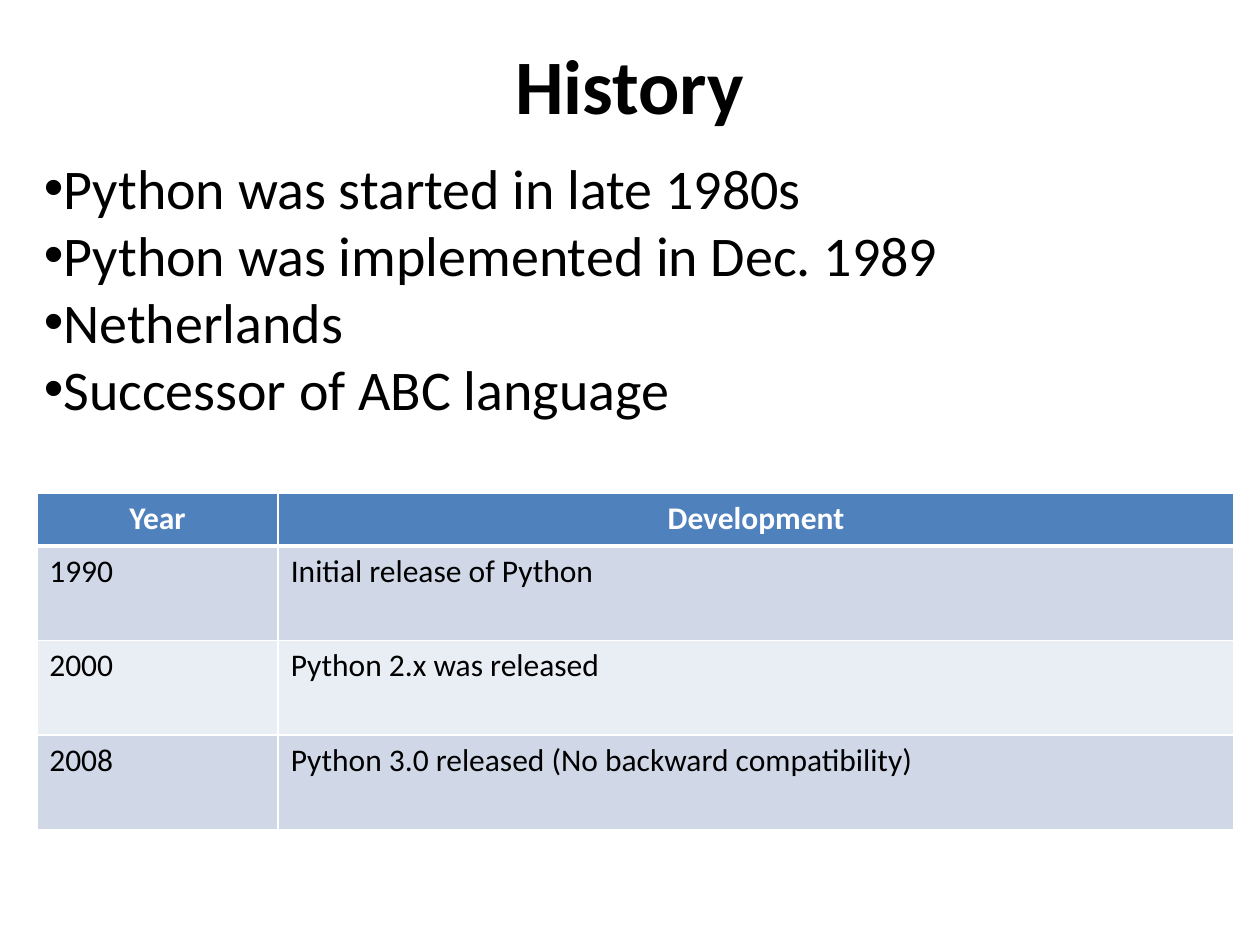
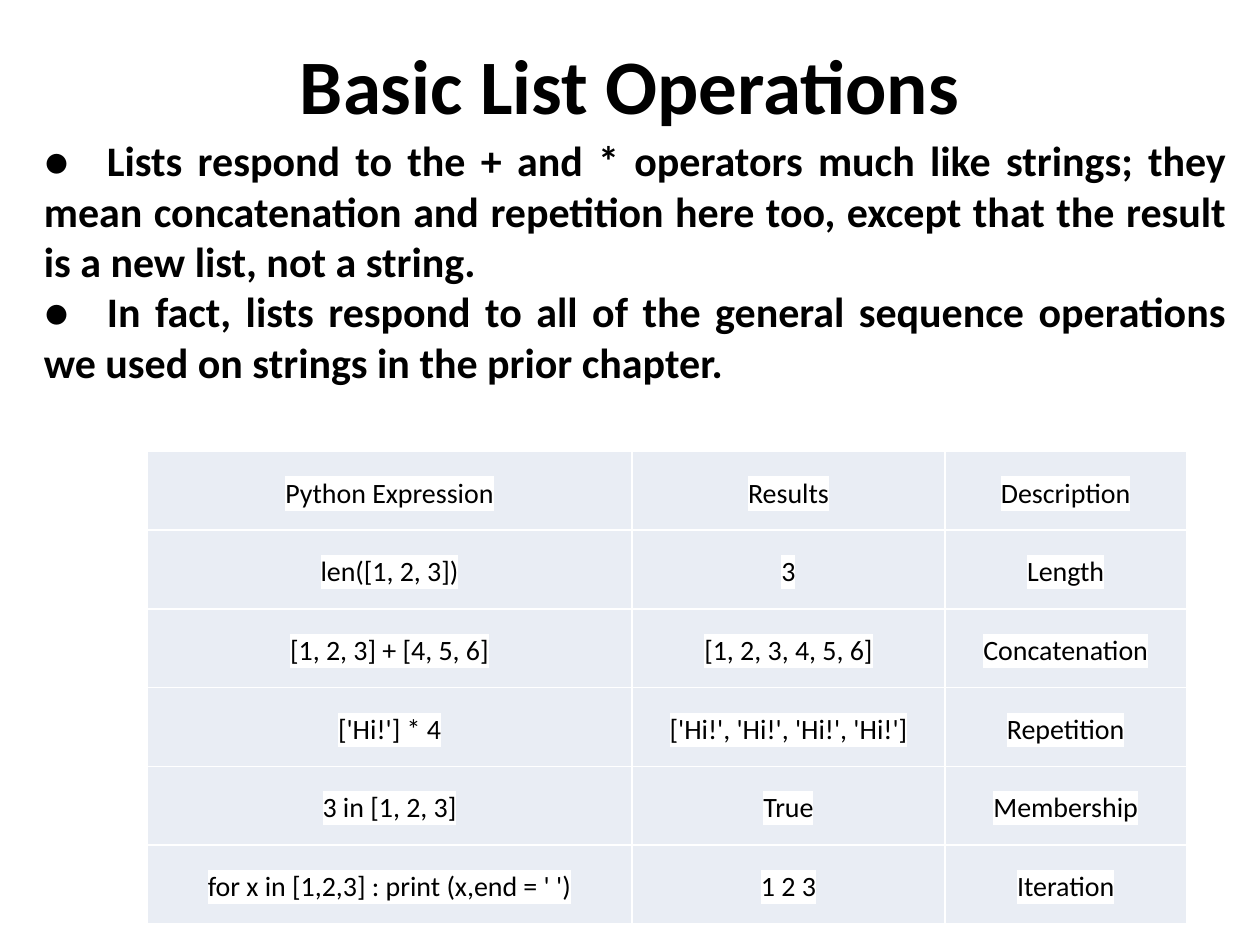
from lxml.etree import SubElement
from pptx import Presentation
from pptx.dml.color import RGBColor
from pptx.enum.text import MSO_ANCHOR, MSO_AUTO_SIZE, PP_ALIGN
from pptx.oxml.ns import qn
from pptx.util import Inches, Pt

# Shared look: a grid of 120 columns by 90 rows
UNIT = Inches(10) // 120
BLACK, WHITE, BLUE = "000000", "FFFFFF", "4F81BD"
DARK_BAND, LIGHT_BAND = "D0D8E8", "E9EDF4"
TITLE_FORMAT = {"size": Pt(44), "bold": True}


def colour(hex_code):
    return RGBColor.from_string(hex_code)


def write(para, text, alignment, formats, text_colour=BLACK):
    para.alignment = alignment
    span = para.add_run()
    span.text = text
    for name, value in formats.items():
        setattr(span.font, name, value)
    span.font.name = "Calibri"
    span.font.color.rgb = colour(text_colour)
    return span


# Content of the two slides, lengths in grid units
slides = [
    {
        "title": "History",
        "body_place": (3, 14, 115, 27),
        "body_format": {"size": Pt(32), "bold": False},
        "bullet": "•",
        "points": [
            "Python was started in late 1980s",
            "Python was implemented in Dec. 1989",
            "Netherlands",
            "Successor of ABC language",
        ],
        "table_corner": (3.5, 47),
        "widths": [23, 91],
        "heights": [5, 9, 9, 9],
        "has_header": True,
        "cell_size": Pt(18),
        "cell_format": {},
        "para_format": {},
        "highlight": None,
        "table": [
            ("Year", "Development"),
            ("1990", "Initial release of Python"),
            ("2000", "Python 2.x was released"),
            ("2008", "Python 3.0 released (No backward compatibility)"),
        ],
    },
    {
        "title": "Basic List Operations",
        "body_place": (3, 12.25, 115, 25.5),
        "body_format": {"size": Pt(24), "bold": True},
        "bullet": None,
        "points": [
            "●\tLists respond to the + and * operators much like strings; they mean "
            "concatenation and repetition here too, except that the result is a new "
            "list, not a string.",
            "●\tIn fact, lists respond to all of the general sequence operations we "
            "used on strings in the prior chapter.",
        ],
        "table_corner": (14, 43),
        "widths": [46.2, 29.8, 23],
        "heights": [7.5] * 6,
        "has_header": False,
        "cell_size": Pt(16),
        "cell_format": dict.fromkeys(
            ("margin_left", "margin_right", "margin_top", "margin_bottom"), UNIT),
        "para_format": {"line_spacing": 1.42, "space_after": Pt(15)},
        "highlight": WHITE,
        "table": [
            ("Python Expression", "Results", "Description"),
            ("len([1, 2, 3])", "3", "Length"),
            ("[1, 2, 3] + [4, 5, 6]", "[1, 2, 3, 4, 5, 6]", "Concatenation"),
            ("['Hi!'] * 4", "['Hi!', 'Hi!', 'Hi!', 'Hi!']", "Repetition"),
            ("3 in [1, 2, 3]", "True", "Membership"),
            ("for x in [1,2,3] : print (x,end = ' ')", "1 2 3", "Iteration"),
        ],
    },
]

deck = Presentation()
deck.slide_width, deck.slide_height = 120 * UNIT, 90 * UNIT

for content in slides:
    page = deck.slides.add_slide(deck.slide_layouts[5])

    # Title
    title = page.shapes.title
    title.left, title.top, title.width, title.height = 0, 2 * UNIT, 120 * UNIT, 12 * UNIT
    title.text_frame.vertical_anchor = MSO_ANCHOR.MIDDLE
    write(title.text_frame.paragraphs[0], content["title"], PP_ALIGN.CENTER, TITLE_FORMAT)

    # Points
    box = page.shapes.add_textbox(*(int(n * UNIT) for n in content["body_place"]))
    frame = box.text_frame
    frame.word_wrap = True
    frame.auto_size = MSO_AUTO_SIZE.SHAPE_TO_FIT_TEXT
    for index, point in enumerate(content["points"]):
        para = frame.add_paragraph() if index else frame.paragraphs[0]
        if content["bullet"]:
            properties = para._p.get_or_add_pPr()
            SubElement(properties, qn("a:buFont"), typeface="Arial")
            SubElement(properties, qn("a:buChar"), char=content["bullet"])
        write(para, point, PP_ALIGN.JUSTIFY, content["body_format"])

    # Table grid
    widths, heights = content["widths"], content["heights"]
    place = (*content["table_corner"], sum(widths), sum(heights))
    table = page.shapes.add_table(
        len(heights), len(widths), *(int(n * UNIT) for n in place)).table
    table.first_row = content["has_header"]
    for column, width in zip(table.columns, widths):
        column.width = int(width * UNIT)
    for row, height in zip(table.rows, heights):
        row.height = int(height * UNIT)

    # Table cells
    for row_index, texts in enumerate(content["table"]):
        is_header = content["has_header"] and row_index == 0
        if is_header:
            fill = BLUE
        elif content["has_header"] and row_index % 2:
            fill = DARK_BAND
        else:
            fill = LIGHT_BAND
        centred = is_header or not content["has_header"]

        for column_index, text in enumerate(texts):
            cell = table.cell(row_index, column_index)
            for name, value in content["cell_format"].items():
                setattr(cell, name, value)

            # White borders, thicker under the header
            for side in "LRTB":
                thick = content["has_header"] and (row_index, side) in ((0, "B"), (1, "T"))
                line = SubElement(cell._tc.get_or_add_tcPr(), qn(f"a:ln{side}"),
                                  w=str(Pt(3 if thick else 1)))
                SubElement(SubElement(line, qn("a:solidFill")), qn("a:srgbClr"), val=WHITE)
            cell.fill.solid()
            cell.fill.fore_color.rgb = colour(fill)

            para = cell.text_frame.paragraphs[0]
            for name, value in content["para_format"].items():
                setattr(para, name, value)
            span = write(para, text, PP_ALIGN.CENTER if centred else PP_ALIGN.JUSTIFY,
                         {"size": content["cell_size"], "bold": is_header},
                         WHITE if is_header else BLACK)
            if content["highlight"]:
                properties = span.font._element
                mark = SubElement(properties, qn("a:highlight"))
                SubElement(mark, qn("a:srgbClr"), val=content["highlight"])
                properties.find(qn("a:solidFill")).addnext(mark)

deck.save("out.pptx")
